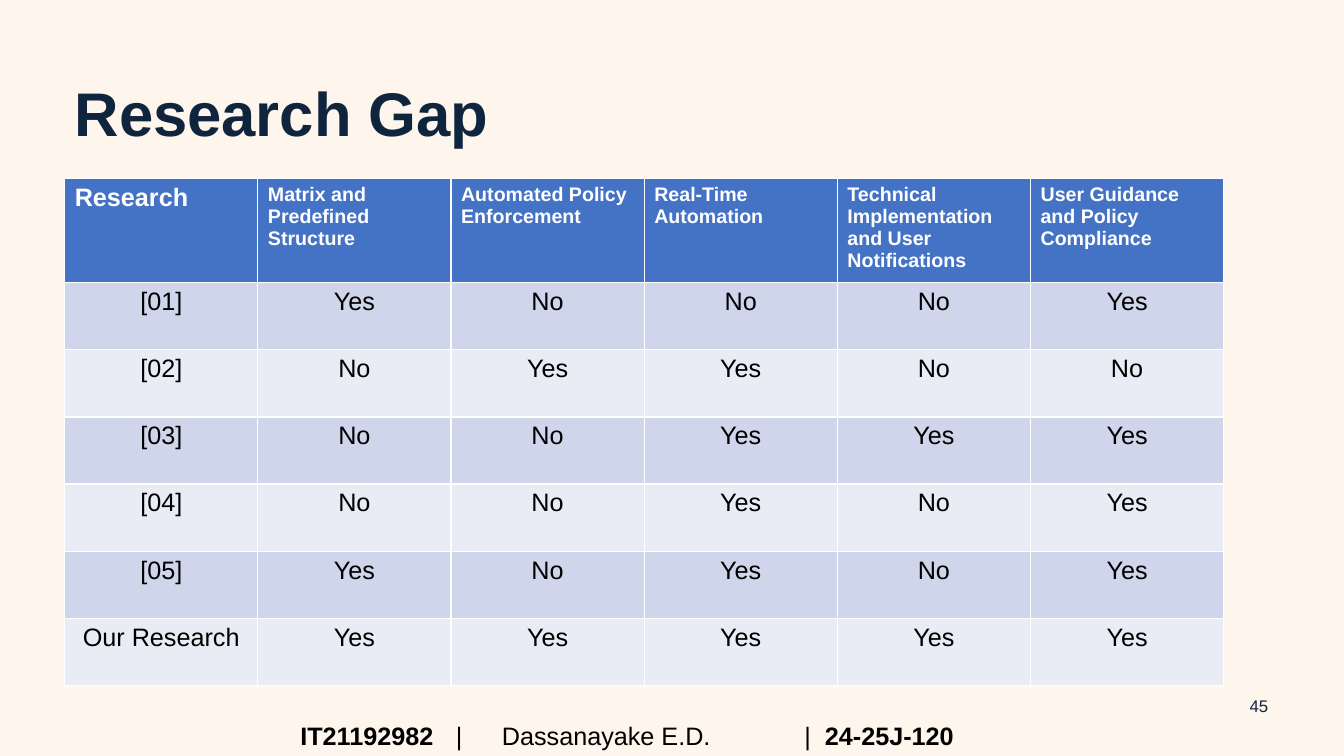
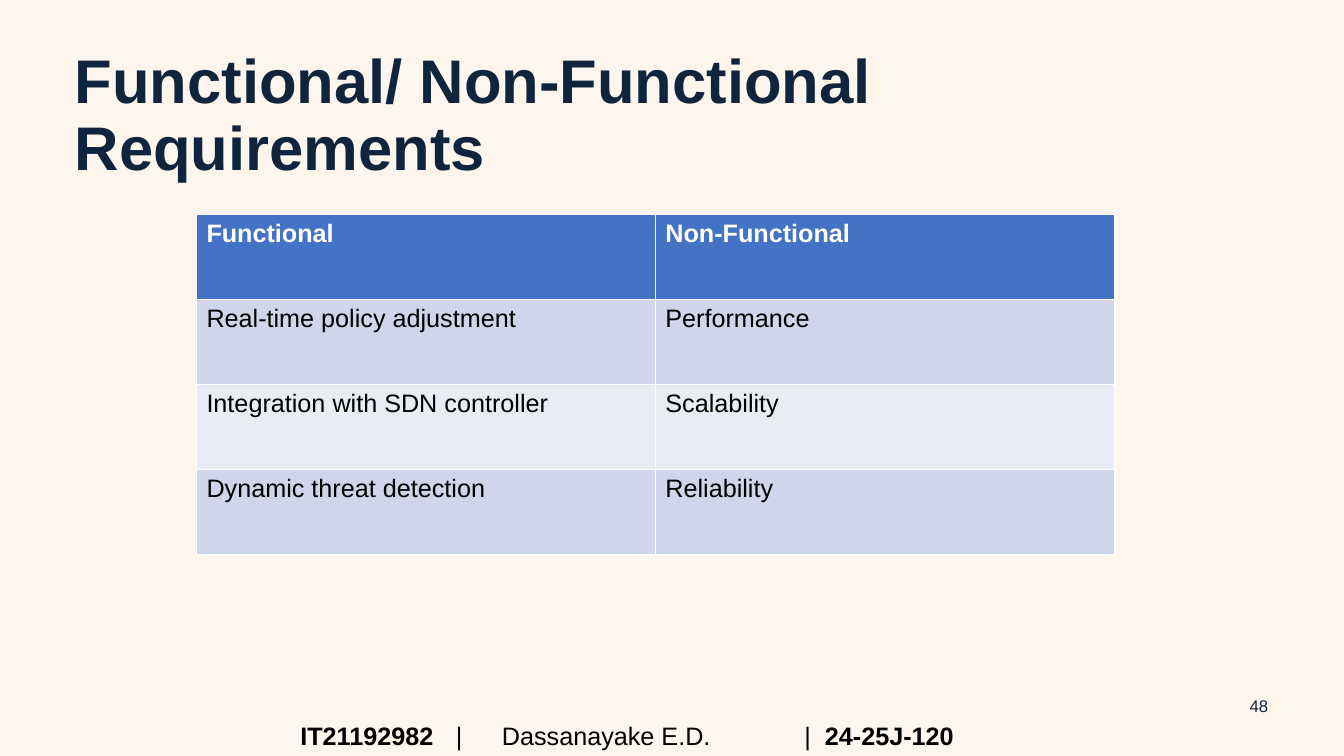
from lxml import etree
from pptx import Presentation
from pptx.dml.color import RGBColor
from pptx.enum import text
from pptx.oxml import ns
from pptx.util import Cm, Pt

FONT = "Arial"
CREAM = RGBColor(0xFE, 0xF6, 0xED)
NAVY = RGBColor(0x0F, 0x25, 0x3E)
BLACK = RGBColor(0, 0, 0)
WHITE = RGBColor(0xFF, 0xFF, 0xFF)
HEADER_BLUE = RGBColor(0x44, 0x72, 0xC4)
BANDS = (RGBColor(0xCF, 0xD5, 0xEA), RGBColor(0xE9, 0xEB, 0xF5))

# Boxes shared by both slides: left, top, width, height in cm
TITLE_BOX = (1.63, 1.4, 29.21, 3.1)
NUMBER_BOX = (31.09, 17.27, 1.27, 1.02)
FOOTER_BOX = (7.32, 18.03, 18.92, 1.02)
FOOTER_TABS = (3.92, 5.08, 12.7, 13.22)
FOOTER_RUNS = (
    ("IT21192982", True),
    ("\t|\tDassanayake E.D.\t|\t", False),
    ("24-25J-120", True),
)

GAP_HEADER = (
    "Research",
    "Matrix and Predefined Structure",
    "Automated Policy Enforcement",
    "Real-Time Automation",
    "Technical Implementation and User Notifications",
    "User Guidance and Policy Compliance",
)
GAP_ROWS = (
    ("[01]", "Yes", "No", "No", "No", "Yes"),
    ("[02]", "No", "Yes", "Yes", "No", "No"),
    ("[03]", "No", "No", "Yes", "Yes", "Yes"),
    ("[04]", "No", "No", "Yes", "No", "Yes"),
    ("[05]", "Yes", "No", "Yes", "No", "Yes"),
    ("Our Research", "Yes", "Yes", "Yes", "Yes", "Yes"),
)
REQUIREMENT_HEADER = ("Functional", "Non-Functional")
REQUIREMENT_ROWS = (
    ("Real-time policy adjustment", "Performance"),
    ("Integration with SDN controller", "Scalability"),
    ("Dynamic threat detection", "Reliability"),
)


def write(tf, runs, size=18, color=BLACK, bold=False, align=None,
          spacing=None, tabs=()):
    """Fill a text frame with a string or with (string, bold) runs."""
    p = tf.paragraphs[0]
    if tabs:
        tab_list = etree.SubElement(p._p.get_or_add_pPr(), ns.qn("a:tabLst"))
        for stop in tabs:
            etree.SubElement(tab_list, ns.qn("a:tab"), pos=str(Cm(stop)), algn="l")
    if align is not None:
        p.alignment = align
    if spacing:
        p.line_spacing = spacing
    if isinstance(runs, str):
        runs = [(runs, bold)]
    for words, heavy in runs:
        r = p.add_run()
        r.text = words
        r.font.name, r.font.size, r.font.bold = FONT, Pt(size), heavy
        r.font.color.rgb = color


def add_text(s, box, runs, **style):
    tf = s.shapes.add_textbox(*map(Cm, box)).text_frame
    tf.word_wrap = True
    tf.vertical_anchor = text.MSO_ANCHOR.MIDDLE
    write(tf, runs, **style)


def add_frame(prs, title, number):
    """Add a slide with its title, page number and footer."""
    s = prs.slides.add_slide(prs.slide_layouts[6])
    add_text(s, TITLE_BOX, title, size=44, color=NAVY, bold=True, spacing=0.9)
    add_text(s, NUMBER_BOX, str(number), size=12, color=NAVY,
             align=text.PP_ALIGN.CENTER)
    add_text(s, FOOTER_BOX, FOOTER_RUNS, tabs=FOOTER_TABS)
    return s


def add_banded_table(s, box, header, rows, header_size=18, align=None):
    """Add a table of equal rows and columns; the default style draws its rules."""
    table = s.shapes.add_table(len(rows) + 1, len(header), *map(Cm, box)).table
    for j, label in enumerate(header):
        cell = table.cell(0, j)
        cell.fill.solid()
        cell.fill.fore_color.rgb = HEADER_BLUE
        write(cell.text_frame, label, size=header_size if j else 18,
              color=WHITE, bold=True)
    for i, row in enumerate(rows):
        for j, value in enumerate(row):
            cell = table.cell(i + 1, j)
            cell.fill.solid()
            cell.fill.fore_color.rgb = BANDS[i % 2]
            write(cell.text_frame, value, align=align)


def main():
    prs = Presentation()
    prs.slide_width, prs.slide_height = Cm(33.87), Cm(19.05)
    fill = prs.slide_master.background.fill
    fill.solid()
    fill.fore_color.rgb = CREAM

    # Comparison of earlier research
    s = add_frame(prs, "Research Gap", 45)
    add_banded_table(s, (1.63, 4.5, 29.21, 11.83), GAP_HEADER, GAP_ROWS,
                     header_size=14, align=text.PP_ALIGN.CENTER)

    # Requirements
    s = add_frame(prs, "Functional/ Non-Functional Requirements", 48)
    add_banded_table(s, (4.95, 5.41, 23.13, 8.56), REQUIREMENT_HEADER,
                     REQUIREMENT_ROWS)

    prs.save("out.pptx")


if __name__ == "__main__":
    main()
